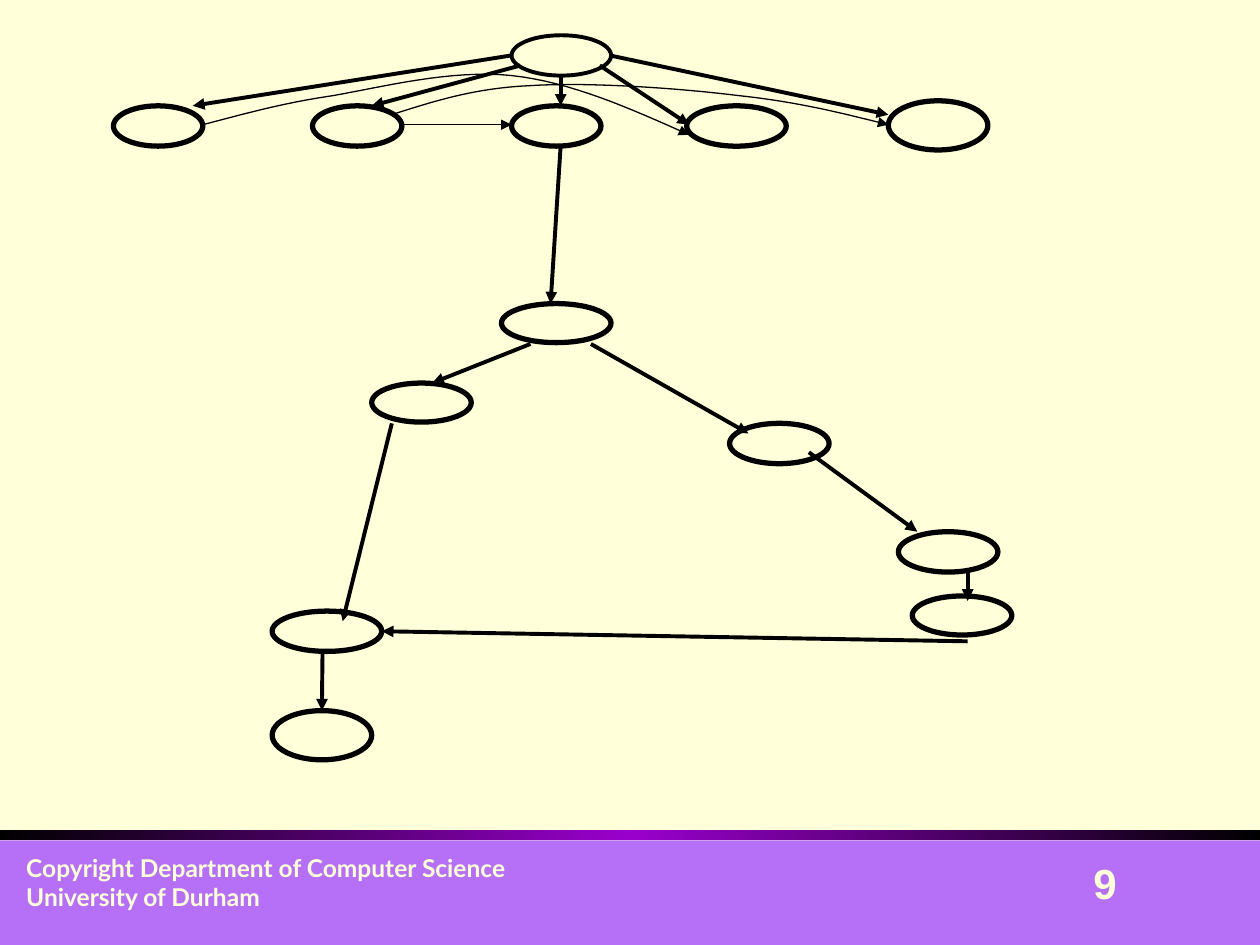
from copy import deepcopy

from pptx import Presentation
from pptx.dml.color import RGBColor
from pptx.enum.shapes import MSO_CONNECTOR as Connector, MSO_SHAPE as Shape
from pptx.enum.text import MSO_ANCHOR as Anchor
from pptx.oxml.ns import qn
from pptx.util import Pt
from lxml.etree import SubElement

PX = 9144
BLACK, CREAM, VIOLET, PURPLE = "000000", "FFFFD9", "B66FF7", "9900CC"
THIN, MEDIUM, THICK = 0.75, 2.25, 3

NODES = {
    "root": (406, 28, 79, 32, MEDIUM),
    "first": (90, 84, 71, 32, THICK),
    "second": (248, 84, 71, 32, THICK),
    "third": (406, 84, 71, 32, THICK),
    "fourth": (545, 84, 79, 32, THICK),
    "fifth": (705, 80, 79, 39, THICK),
    "branch": (398, 241, 87, 31, THICK),
    "left": (295, 304, 79, 31, THICK),
    "right": (579, 336, 79, 32, THICK),
    "right child": (713, 422, 79, 32, THICK),
    "right leaf": (724, 473, 79, 31, THICK),
    "join": (216, 485, 87, 32, THICK),
    "final": (216, 564, 79, 39, THICK),
}
ARROWS = [
    (406, 44, 153, 84, MEDIUM),
    (413, 52, 295, 84, MEDIUM),
    (445, 60, 445, 84, MEDIUM),
    (476, 52, 547, 99, MEDIUM),
    (484, 44, 705, 91, MEDIUM),
    (319, 99, 406, 99, THIN),
    (445, 115, 437, 241, MEDIUM),
    (421, 273, 343, 304, MEDIUM),
    (469, 273, 594, 344, MEDIUM),
    (311, 336, 272, 493, MEDIUM),
    (642, 359, 728, 422, MEDIUM),
    (768, 454, 768, 477, MEDIUM),
    (768, 509, 303, 501, MEDIUM),
]
CURVES = [
    [(311, 91), (343, 81), (375, 70), (421, 68), (467, 65),
     (539, 70), (587, 76), (634, 81), (669, 90), (705, 99)],
    [(161, 99), (192, 91), (223, 82), (264, 76), (304, 69),
     (358, 55), (406, 60), (453, 65), (500, 86), (547, 107)],
]


def colour(value):
    """Turn a hex string into a colour."""
    return RGBColor.from_string(value)


def style_line(line, width):
    """Give a line its colour and width."""
    line.color.rgb = colour(BLACK)
    line.width = Pt(width)


def add_arrowhead(line):
    """Put a triangle at the far end of a line."""
    SubElement(line._get_or_add_ln(), qn("a:tailEnd"), type="triangle")


def add_node(page, left, top, width, height, weight):
    """Draw one hollow ellipse."""
    node = page.shapes.add_shape(Shape.OVAL, left * PX, top * PX, width * PX, height * PX)
    node.shadow.inherit = False
    node.fill.background()
    style_line(node.line, weight)
    return node


def add_arrow(page, start_x, start_y, end_x, end_y, weight):
    """Draw one straight arrow."""
    arrow = page.shapes.add_connector(
        Connector.STRAIGHT, start_x * PX, start_y * PX, end_x * PX, end_y * PX)
    style_line(arrow.line, weight)
    add_arrowhead(arrow.line)
    SubElement(arrow._element.spPr, qn("a:effectLst"))
    return arrow


def bezier_points(controls, steps=16):
    """Sample a chain of cubic curves as EMU points."""
    points = []
    for first in range(0, len(controls) - 1, 3):
        corners = controls[first:first + 4]
        for step in range(1, steps + 1):
            t = step / steps
            weights = ((1 - t) ** 3, 3 * t * (1 - t) ** 2, 3 * t * t * (1 - t), t ** 3)
            points.append(tuple(
                round(PX * sum(w * corner[axis] for w, corner in zip(weights, corners)))
                for axis in (0, 1)))
    return points


def add_curve(page, controls):
    """Draw one thin curved arrow."""
    start_x, start_y = controls[0]
    builder = page.shapes.build_freeform(start_x * PX, start_y * PX)
    builder.add_line_segments(bezier_points(controls), close=False)
    curve = builder.convert_to_shape()
    curve.shadow.inherit = False
    curve.fill.background()
    style_line(curve.line, THIN)
    add_arrowhead(curve.line)


def add_graph(page, left, top):
    """Draw the node graph from its top left corner."""
    nodes = {name: add_node(page, left + x, top + y, width, height, weight)
             for name, (x, y, width, height, weight) in NODES.items()}
    for start_x, start_y, end_x, end_y, weight in ARROWS:
        add_arrow(page, left + start_x, top + start_y, left + end_x, top + end_y, weight)
    last = add_arrow(page, left + 256, top + 517, left + 256, top + 564, MEDIUM)
    last.end_connect(nodes["final"], 0)
    for controls in CURVES:
        add_curve(page, [(left + x, top + y) for x, y in controls])


def add_band(page, left, top, width, height):
    """Draw one borderless rectangle."""
    band = page.shapes.add_shape(
        Shape.RECTANGLE, left * PX, top * PX, width * PX, height * PX)
    band.shadow.inherit = False
    band.line.fill.background()
    return band


def add_text(page, left, top, width, height, lines, font, size, anchor, wrap):
    """Write bold cream lines in a text box."""
    box = page.shapes.add_textbox(left * PX, top * PX, width * PX, height * PX)
    frame = box.text_frame
    frame.word_wrap = wrap
    frame.vertical_anchor = anchor
    for index, line in enumerate(lines):
        para = frame.add_paragraph() if index else frame.paragraphs[0]
        span = para.add_run()
        span.text = line
        span.font.name = font
        span.font.size = Pt(size)
        span.font.bold = True
        span.font.color.rgb = colour(CREAM)


def add_footer(page, left, top, width, height):
    """Draw the footer with its gradient rule, owner and page number."""
    rule_height = 8
    band = add_band(page, left, top + rule_height, width, height - rule_height)
    band.fill.solid()
    band.fill.fore_color.rgb = colour(VIOLET)

    rule = add_band(page, left, top, width, rule_height)
    rule.fill.gradient()
    rule.fill.gradient_angle = 0
    stop_list = rule._element.spPr.find(".//" + qn("a:gsLst"))
    stop_list.append(deepcopy(stop_list[0]))
    for stop, position, shade in zip(
            rule.fill.gradient_stops, (0, 0.5, 1), (BLACK, PURPLE, BLACK)):
        stop.position = position
        stop.color.rgb = colour(shade)

    owner = ["Copyright Department of Computer Science", "University of Durham"]
    add_text(page, left + 11, top + 20, 442, 42, owner, "Lato", 14, Anchor.MIDDLE, False)
    add_text(page, left + 858, top + 17, 75, 50, ["9"], "Arial", 24, Anchor.TOP, True)


def main():
    """Build the deck and save it."""
    deck = Presentation()
    deck.slide_width, deck.slide_height = 1000 * PX, 750 * PX
    page = deck.slides.add_slide(deck.slide_layouts[6])
    page.background.fill.solid()
    page.background.fill.fore_color.rgb = colour(CREAM)
    add_footer(page, 0, 659, 1000, 91)
    add_graph(page, 0, 0)
    deck.save("out.pptx")


if __name__ == "__main__":
    main()
